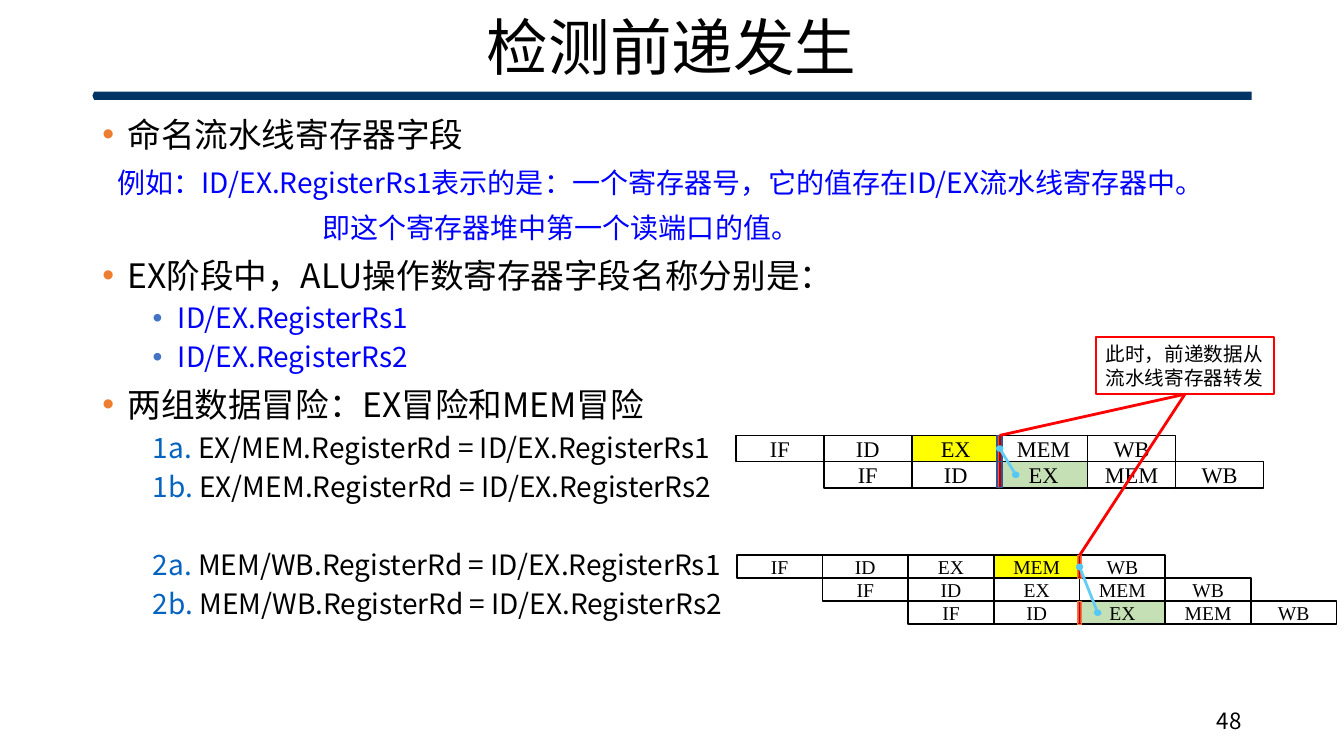
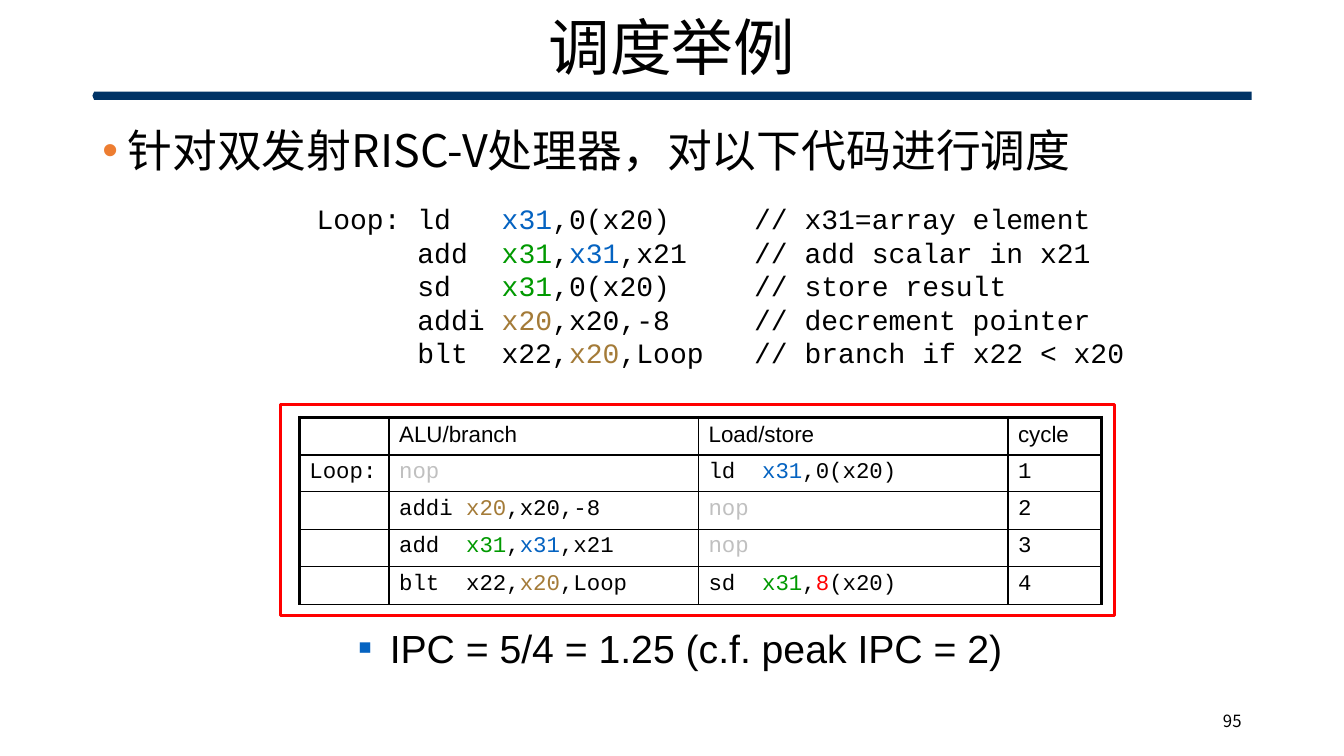
from dataclasses import dataclass
from typing import NamedTuple, Optional, Sequence, Union

from lxml import etree
from pptx import Presentation
from pptx.dml.color import RGBColor
from pptx.enum.shapes import MSO_CONNECTOR, MSO_SHAPE
from pptx.enum.text import MSO_ANCHOR, MSO_AUTO_SIZE, PP_ALIGN
from pptx.oxml.ns import qn
from pptx.util import Emu, Inches, Pt

RECT, OVAL, BAND = MSO_SHAPE.RECTANGLE, MSO_SHAPE.OVAL, MSO_SHAPE.PENTAGON
STRAIGHT = MSO_CONNECTOR.STRAIGHT
TOP, MIDDLE = MSO_ANCHOR.TOP, MSO_ANCHOR.MIDDLE
LEFT, CENTER, RIGHT = PP_ALIGN.LEFT, PP_ALIGN.CENTER, PP_ALIGN.RIGHT
NO_FIT = MSO_AUTO_SIZE.NONE

SANS, SERIF = "Noto Sans CJK SC", "Times New Roman"
MONO, ARIAL = "Courier New", "Arial"
BLACK, WHITE, NAVY, RED = "000000", "FFFFFF", "003366", "FF0000"
BLUE, ACCENT, GREEN, TAN = "0000FF", "0563C1", "009900", "A47B38"
ORANGE, INDIGO, GRAY = "ED7D31", "4472C4", "C0C0C0"
YELLOW, PALE_GREEN = "FFFF00", "C5E0B4"
PATH_BLUE, DOT_BLUE, STEEL = "62CEF6", "54C9F5", "325491"

SLIDE_WIDTH, SLIDE_HEIGHT = Inches(13.333), Inches(7.5)
GRID_COLUMNS = 160
STAGES = ("IF", "ID", "EX", "MEM", "WB")


class Box(NamedTuple):
    left: float
    top: float
    width: float
    height: float


class Run(NamedTuple):
    text: str
    color: str = BLACK


Runs = Sequence[Union[str, Run]]


@dataclass(frozen=True)
class Bullet:
    char: str
    color: str
    percent: int = 100


@dataclass(frozen=True)
class Para:
    runs: Runs
    size: float
    font: str = SANS
    before: float = 0
    line: Optional[float] = None
    margin: float = 0
    indent: float = 0
    level: int = 0
    bullet: Optional[Bullet] = None
    align: PP_ALIGN = LEFT


@dataclass(frozen=True)
class Pipeline:
    left: float
    top: float
    column: float
    row: float
    rows: int
    size: float
    highlights: dict
    register_column: int
    register_rows: tuple
    register_width: float
    register_line: tuple
    reach: float

    @property
    def register_x(self) -> float:
        return self.left + self.register_column * self.column

    def middle(self, row: int) -> float:
        return self.top + (row + 0.5) * self.row


X31_READ, X31_WRITE, X20 = Run("x31", ACCENT), Run("x31", GREEN), Run("x20", TAN)
NOP = (Run("nop", GRAY),)
BODY = Box(11, 13.4, 138, 69)
CALLOUT = Box(130.44, 40.1, 21.24, 6.84)
DOT_WIDTH, DOT_HEIGHT = 0.72, 0.6

PIPELINES = (
    Pipeline(87.6, 51.84, 10.47, 3.12, 2, 16, {(0, 2): YELLOW, (1, 2): PALE_GREEN},
             3, (0, 1), 0.6, (STEEL, 1), 1.92),
    Pipeline(87.72, 66.12, 10.2, 2.73, 3, 14, {(0, 3): YELLOW, (2, 2): PALE_GREEN},
             4, (0, 2), 0.48, (ORANGE, 0.5), 2.16),
)

CODE = (
    ("Loop: ld   ", X31_READ, ",0(x20)     // x31=array element"),
    ("      add  ", X31_WRITE, ",", X31_READ, ",x21    // add scalar in x21"),
    ("      sd   ", X31_WRITE, ",0(x20)     // store result"),
    ("      addi ", X20, ",x20,-8     // decrement pointer"),
    ("      blt  x22,", X20, ",Loop   // branch if x22 < x20"),
)

SCHEDULE = (
    ((), ("ALU/branch",), ("Load/store",), ("cycle",)),
    (("Loop:",), NOP, ("ld  ", X31_READ, ",0(x20)"), ("1",)),
    ((), ("addi ", X20, ",x20,-8"), NOP, ("2",)),
    ((), ("add  ", X31_WRITE, ",", X31_READ, ",x21"), NOP, ("3",)),
    ((), ("blt  x22,", X20, ",Loop"),
     ("sd  ", X31_WRITE, ",", Run("8", RED), "(x20)"), ("4",)),
)
SCHEDULE_COLUMNS = (10.68, 36.84, 36.84, 11.16)
SCHEDULE_ROW = 4.4


def units(value: float) -> Emu:
    return Emu(round(value * SLIDE_WIDTH / GRID_COLUMNS))


def place(box: Box) -> list:
    return [units(value) for value in box]


def rgb(color: str) -> RGBColor:
    return RGBColor.from_string(color)


def add_bullet(properties, bullet: Bullet) -> None:
    color = etree.SubElement(properties, qn("a:buClr"))
    etree.SubElement(color, qn("a:srgbClr"), val=bullet.color)
    etree.SubElement(properties, qn("a:buSzPct"), val=str(bullet.percent * 1000))
    etree.SubElement(properties, qn("a:buFont"), typeface=ARIAL)
    etree.SubElement(properties, qn("a:buChar"), char=bullet.char)


def write(frame, paras: Sequence[Para], anchor=TOP, wrap: bool = True,
          inset: Optional[float] = None) -> None:
    frame.auto_size, frame.word_wrap, frame.vertical_anchor = NO_FIT, wrap, anchor
    if inset is not None:
        frame.margin_left = frame.margin_right = units(inset)
        frame.margin_top = frame.margin_bottom = units(inset)
    for index, para in enumerate(paras):
        paragraph = frame.add_paragraph() if index else frame.paragraphs[0]
        properties = paragraph._p.get_or_add_pPr()
        properties.set("marL", str(units(para.margin)))
        properties.set("indent", str(units(para.indent)))
        if para.bullet:
            add_bullet(properties, para.bullet)
        paragraph.level, paragraph.alignment = para.level, para.align
        paragraph.space_before = Pt(para.before)
        if para.line:
            paragraph.line_spacing = Pt(para.line)
        for part in para.runs:
            text, color = part if isinstance(part, Run) else Run(part)
            run = paragraph.add_run()
            run.text = text
            run.font.size, run.font.name = Pt(para.size), para.font
            run.font.color.rgb = rgb(color)
            latin = run._r.rPr.find(qn("a:latin"))
            latin.addnext(latin.makeelement(qn("a:ea"), {"typeface": SANS}))
        if not para.runs:
            etree.SubElement(paragraph._p, qn("a:endParaRPr"), sz=str(para.size * 100))


def add_text(slide, box: Box, paras: Sequence[Para], anchor=TOP, wrap: bool = True) -> None:
    write(slide.shapes.add_textbox(*place(box)).text_frame, paras, anchor, wrap)


def add_block(slide, kind, box: Box, fill: Optional[str] = None,
              line: Optional[tuple] = None, opacity: int = 100):
    block = slide.shapes.add_shape(kind, *place(box))
    block.shadow.inherit = False
    if fill:
        block.fill.solid()
        block.fill.fore_color.rgb = rgb(fill)
        if opacity < 100:
            color = block._element.spPr.find(qn("a:solidFill"))[0]
            etree.SubElement(color, qn("a:alpha"), val=str(opacity * 1000))
    else:
        block.fill.background()
    if line:
        block.line.color.rgb, block.line.width = rgb(line[0]), Pt(line[1])
    else:
        block.line.fill.background()
    return block


def add_line(slide, start: tuple, end: tuple, color: str) -> None:
    line = slide.shapes.add_connector(STRAIGHT, *map(units, start + end))
    line.line.color.rgb, line.line.width = rgb(color), Pt(2)
    etree.SubElement(line._element.spPr, qn("a:effectLst"))


def add_slide(deck, title: str, number: str, number_size: float):
    slide = deck.slides.add_slide(deck.slide_layouts[5])
    heading = slide.shapes.title
    heading.left, heading.top, heading.width, heading.height = place(Box(11, 2, 138, 8))
    write(heading.text_frame, [Para([title], 44, align=CENTER)], MIDDLE)
    heading.text_frame.paragraphs[0].line_spacing = 0.9
    band = add_block(slide, BAND, Box(11, 10.9, 138, 1), NAVY)
    band.adjustments[0] = 0.2
    band.rotation = 180
    add_text(slide, Box(113, 83.4, 36, 4.8),
             [Para([number], number_size, align=RIGHT)], MIDDLE)
    return slide


def topic(text: str, size: float = 24, before: float = 10, line: float = 26.4) -> Para:
    return Para([text], size, before=before, line=line, margin=3, indent=-3,
                bullet=Bullet("•", ORANGE))


def example(text: str, margin: float) -> Para:
    return Para([Run(text, BLUE)], 20, before=10, line=22, margin=margin)


def detail(runs: Runs, before: float = 6, bullet: Optional[Bullet] = None) -> Para:
    return Para(runs, 20, before=before, line=22, margin=9, indent=-3, level=1, bullet=bullet)


def hazard(label: str, condition: str, before: float = 6) -> Para:
    return detail([Run(label, ACCENT), f" {condition}"], before)


def draw_pipeline(slide, pipe: Pipeline) -> None:
    for row in range(pipe.rows):
        for column, stage in enumerate(STAGES):
            box = Box(pipe.left + (row + column) * pipe.column,
                      pipe.top + row * pipe.row, pipe.column, pipe.row)
            cell = add_block(slide, RECT, box, pipe.highlights.get((row, column), WHITE),
                             (BLACK, 1.25))
            write(cell.text_frame, [Para([stage], pipe.size, SERIF, align=CENTER)],
                  MIDDLE, False, 0)
    for row in pipe.register_rows:
        add_block(slide, RECT, Box(pipe.register_x - pipe.register_width / 2,
                                   pipe.top + row * pipe.row,
                                   pipe.register_width, pipe.row),
                  RED, pipe.register_line, 70)


def draw_forwarding(slide, pipe: Pipeline) -> None:
    source = (pipe.register_x, pipe.middle(0))
    target = (pipe.register_x + pipe.reach, pipe.middle(pipe.rows - 1))
    add_line(slide, target, source, PATH_BLUE)
    for x, y in (source, target):
        add_block(slide, OVAL, Box(x - DOT_WIDTH / 2, y - DOT_HEIGHT / 2,
                                   DOT_WIDTH, DOT_HEIGHT), DOT_BLUE, (DOT_BLUE, 1))


def draw_schedule(slide) -> None:
    box = Box(35.64, 49.68, sum(SCHEDULE_COLUMNS), SCHEDULE_ROW * len(SCHEDULE))
    table = slide.shapes.add_table(len(SCHEDULE), len(SCHEDULE_COLUMNS), *place(box)).table
    table.first_row = table.horz_banding = False
    for column, width in zip(table.columns, SCHEDULE_COLUMNS):
        column.width = units(width)
    last = len(SCHEDULE_COLUMNS) - 1
    for r, entries in enumerate(SCHEDULE):
        table.rows[r].height = units(SCHEDULE_ROW)
        for c, runs in enumerate(entries):
            cell = table.cell(r, c)
            write(cell.text_frame, [Para(runs, 16, MONO if r else ARIAL)])
            cell.fill.solid()
            cell.fill.fore_color.rgb = rgb(WHITE)
            borders = {"a:lnL": 1 if c else 2.25, "a:lnR": 2.25 if c == last else 1,
                       "a:lnT": {0: 2.25, 1: 1.5}.get(r, 1), "a:lnB": 1 if r else 1.5}
            properties = cell._tc.get_or_add_tcPr()
            for index, (tag, width) in enumerate(borders.items()):
                edge = properties.makeelement(qn(tag), {"w": str(Pt(width))})
                fill = etree.SubElement(edge, qn("a:solidFill"))
                etree.SubElement(fill, qn("a:srgbClr"), val=BLACK)
                properties.insert(index, edge)


def build_forwarding(deck) -> None:
    slide = add_slide(deck, "检测前递发生", "48", 16)
    operand = Bullet("•", INDIGO)
    add_text(slide, BODY, [
        topic("命名流水线寄存器字段", before=0),
        example("例如：ID/EX.RegisterRs1表示的是：一个寄存器号，它的值存在ID/EX流水线寄存器中。", 1.8),
        example("即这个寄存器堆中第一个读端口的值。", 26.2),
        topic("EX阶段中，ALU操作数寄存器字段名称分别是："),
        detail([Run("ID/EX.RegisterRs1", BLUE)], bullet=operand),
        detail([Run("ID/EX.RegisterRs2", BLUE)], bullet=operand),
        topic("两组数据冒险：EX冒险和MEM冒险"),
        hazard("1a.", "EX/MEM.RegisterRd = ID/EX.RegisterRs1"),
        hazard("1b.", "EX/MEM.RegisterRd = ID/EX.RegisterRs2"),
        hazard("2a.", "MEM/WB.RegisterRd = ID/EX.RegisterRs1", 34),
        hazard("2b.", "MEM/WB.RegisterRd = ID/EX.RegisterRs2"),
    ])
    for pipe in PIPELINES:
        draw_pipeline(slide, pipe)
    pointer = (CALLOUT.left + CALLOUT.width / 2, CALLOUT.top + CALLOUT.height)
    for pipe in PIPELINES:
        add_line(slide, (pipe.register_x, pipe.top), pointer, RED)
    callout = add_block(slide, RECT, CALLOUT, line=(RED, 1.5))
    write(callout.text_frame, [Para(["此时，前递数据从流水线寄存器转发"], 14, line=17)])
    callout.text_frame.margin_right = units(0.8)
    for pipe in PIPELINES:
        draw_forwarding(slide, pipe)


def build_scheduling(deck) -> None:
    slide = add_slide(deck, "调度举例", "95", 12)
    add_text(slide, BODY, [topic("针对双发射RISC-V处理器，对以下代码进行调度", 32, 0, 42)])
    add_text(slide, Box(36.5, 23.4, 99.36, 21.36),
             [Para(line, 20, MONO, line=24) for line in CODE], wrap=False)
    draw_schedule(slide)
    add_text(slide, Box(35.5, 73.7, 102, 8.5), [
        Para(["IPC = 5/4 = 1.25 (c.f. peak IPC = 2)"], 28, ARIAL, margin=9.72,
             indent=-3.72, level=1, bullet=Bullet("■", ACCENT, 55))])
    add_block(slide, RECT, Box(33.36, 48.12, 99.36, 25.2), line=(RED, 2))


def main() -> None:
    deck = Presentation()
    deck.slide_width, deck.slide_height = SLIDE_WIDTH, SLIDE_HEIGHT
    build_forwarding(deck)
    build_scheduling(deck)
    deck.save("out.pptx")


if __name__ == "__main__":
    main()
